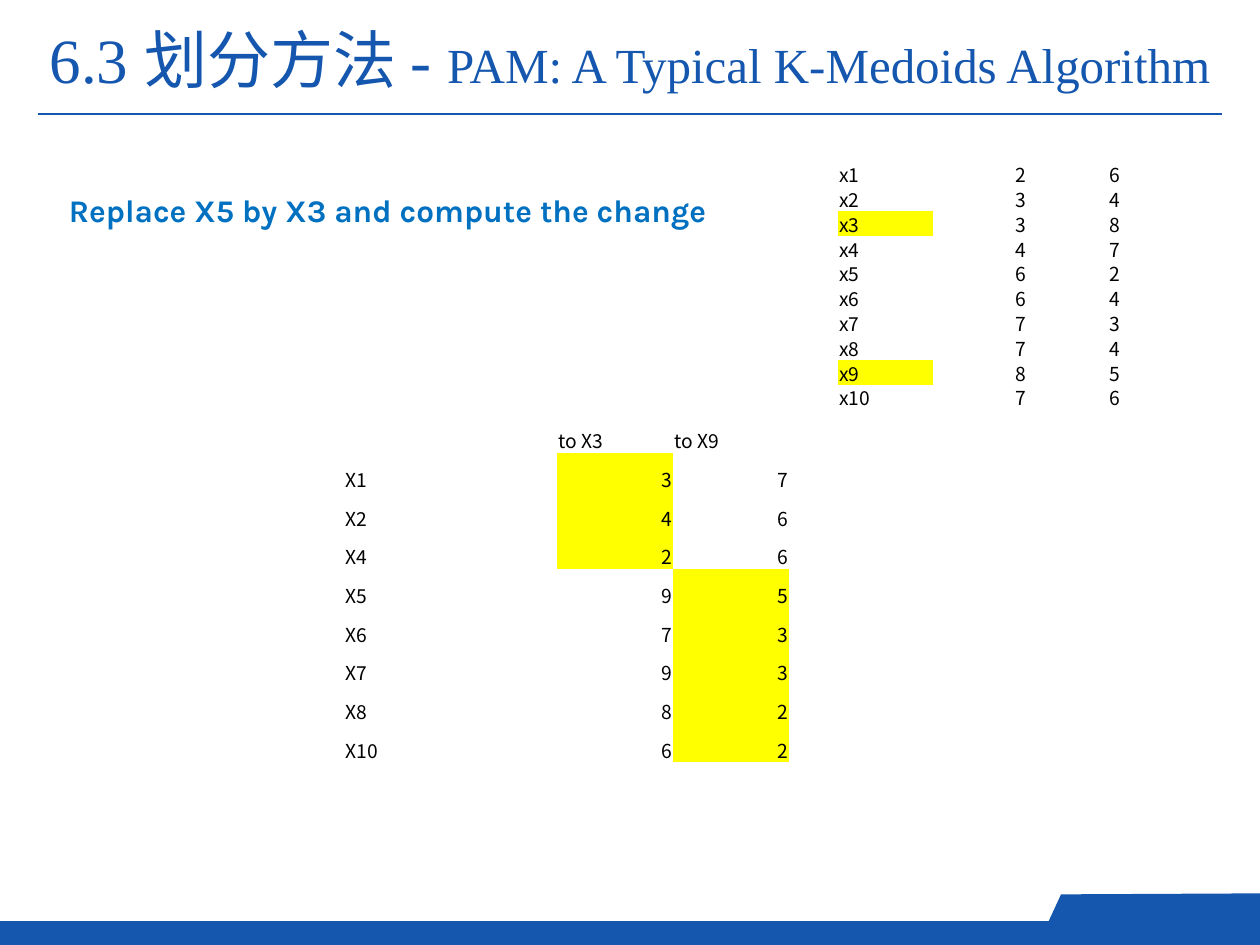
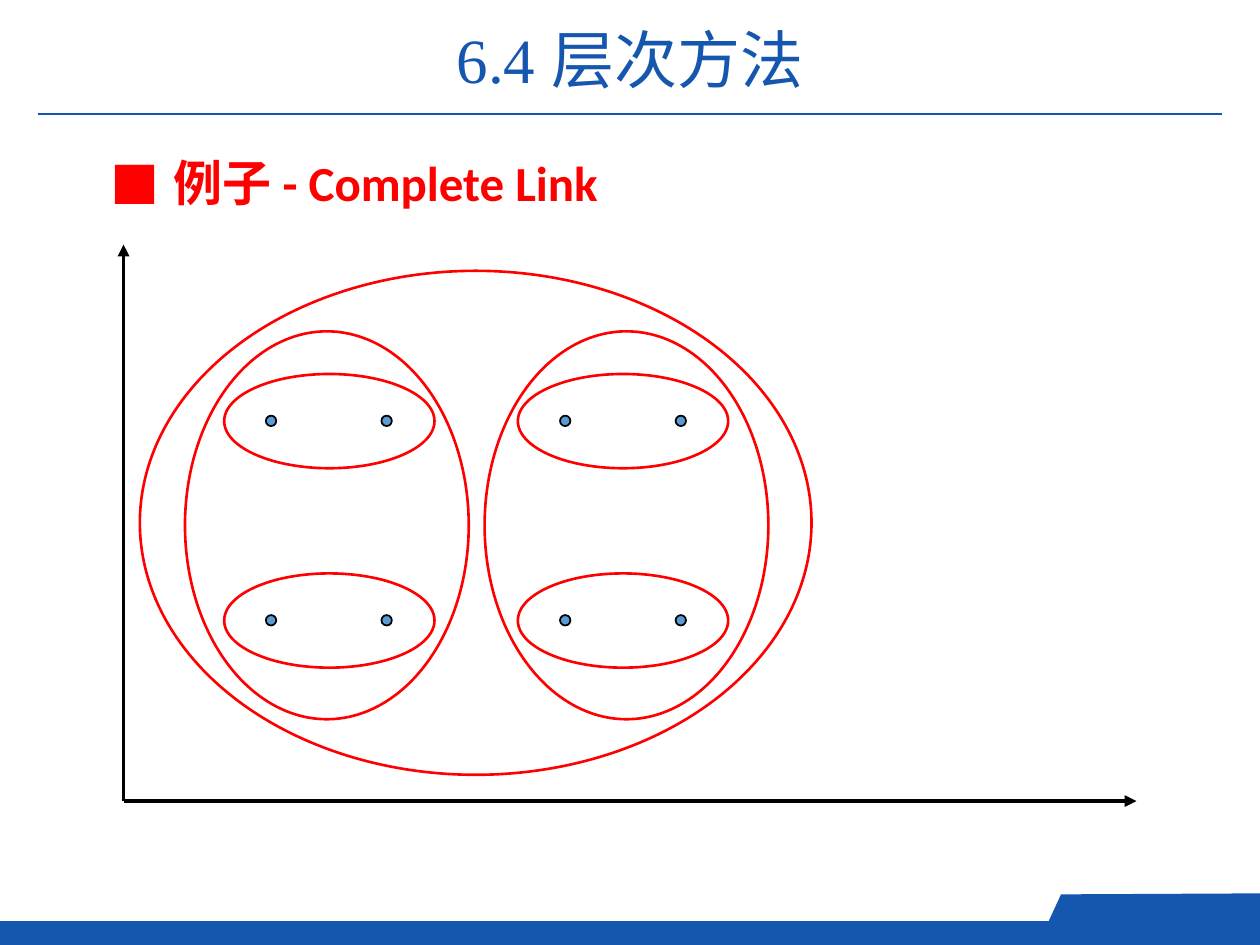
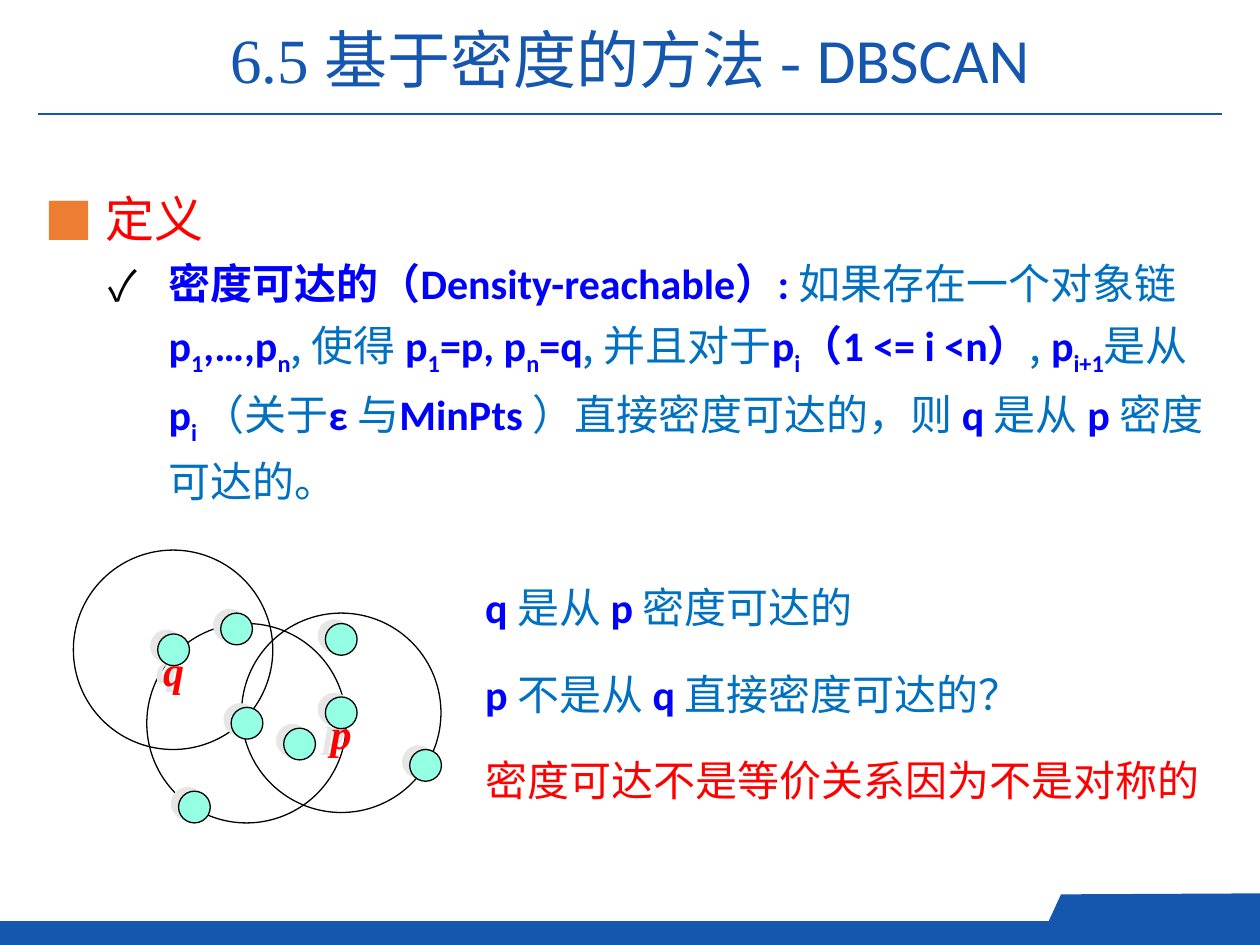
from dataclasses import dataclass, replace

from lxml.etree import SubElement
from pptx import Presentation
from pptx.dml.color import RGBColor as Rgb
from pptx.enum.shapes import MSO_CONNECTOR as Connector, MSO_SHAPE as Preset
from pptx.enum.text import MSO_ANCHOR as Anchor, PP_ALIGN as Align
from pptx.oxml.ns import qn
from pptx.util import Cm, Pt


@dataclass(frozen=True)
class Look:
    name: str
    size: int
    colour: str
    bold: bool = False
    italic: bool = False
    baseline: int = 0


class Theme:
    blue, red, black = "1557AE", "FF0000", "000000"
    orange, yellow = "ED7D31", "FFFF00"
    point, mint, shade = "5B9BD5", "95FFE3", "E7E6E6"
    cjk, serif, sans = "Noto Sans CJK SC", "Times New Roman", "Calibri"
    no_grid = "{2D5ABB26-0587-4C30-8999-92F81FD0307C}"
    title = Look(serif, 36, blue)
    title_small = Look(serif, 28, blue)
    title_sans = Look(sans, 36, blue)
    task = Look("Karla", 18, "0070C0", bold=True)
    cell = Look(cjk, 11, black)
    example = Look(sans, 28, red, bold=True)
    heading = Look(cjk, 28, red)
    body = Look(cjk, 24, "0070C0")
    term = Look(sans, 24, "0000FF", bold=True)
    term_cjk = Look(cjk, 24, "0000FF", bold=True)
    sub = replace(term, baseline=-25000)
    warning = Look(cjk, 24, red)
    letter = Look(serif, 24, red, bold=True, italic=True)


def write(para, spans, bullet=None):
    """Fill a paragraph with (text, look) spans, with an optional bullet."""
    if bullet:
        symbol, colour, margin, indent = bullet
        props = para._p.get_or_add_pPr()
        props.set("marL", str(Cm(margin)))
        props.set("indent", str(Cm(indent)))
        SubElement(SubElement(props, qn("a:buClr")), qn("a:srgbClr")).set("val", colour)
        SubElement(props, qn("a:buFont")).set("typeface", Theme.cjk)
        SubElement(props, qn("a:buChar")).set("char", symbol)
    for text, look in spans:
        span = para.add_run()
        span.text = text
        font = para.font if len(spans) == 1 else span.font
        font.name, font.size = look.name, Pt(look.size)
        font.bold, font.italic = look.bold, look.italic
        font.color.rgb = Rgb.from_string(look.colour)
        SubElement(font._rPr, qn("a:ea")).set("typeface", Theme.cjk)
        if look.baseline:
            font._rPr.set("baseline", str(look.baseline))


def add_oval(page, left, top, width, height, line, line_width, fill=None):
    oval = page.shapes.add_shape(Preset.OVAL, Cm(left), Cm(top), Cm(width), Cm(height))
    oval.shadow.inherit = False
    oval.line.color.rgb = Rgb.from_string(line)
    oval.line.width = Pt(line_width)
    if fill:
        oval.fill.solid()
        oval.fill.fore_color.rgb = Rgb.from_string(fill)
    else:
        oval.fill.background()
    return oval


deck = Presentation()
deck.slide_width, deck.slide_height = Cm(25.4), Cm(19.05)

# Pages with title and footer band
titles = [
    [("6.3 划分方法 - ", Theme.title),
     ("PAM: A Typical K-Medoids Algorithm", Theme.title_small)],
    [("6.4 层次方法", Theme.title)],
    [("6.5 基于密度的方法 - ", Theme.title), ("DBSCAN", Theme.title_sans)],
]
for spans in titles:
    page = deck.slides.add_slide(deck.slide_layouts[6])
    band = page.shapes.add_shape(Preset.RECTANGLE, 0, Cm(18.57), Cm(25.4), Cm(0.48))
    outline = page.shapes.build_freeform(Cm(25.4), Cm(18.92))
    outline.add_line_segments(
        [(Cm(25.4), Cm(18.01)), (Cm(21.39), Cm(18.03)), (Cm(20.98), Cm(18.92))])
    for shape in (band, outline.convert_to_shape()):
        shape.shadow.inherit = False
        shape.fill.solid()
        shape.fill.fore_color.rgb = Rgb.from_string(Theme.blue)
        shape.line.fill.background()
    box = page.shapes.add_textbox(Cm(-1.8), Cm(0.28), Cm(29), Cm(1.8))
    frame = box.text_frame
    frame.word_wrap = True
    frame.vertical_anchor = Anchor.MIDDLE
    frame.paragraphs[0].alignment = Align.CENTER
    write(frame.paragraphs[0], spans)
medoids_page, link_page, density_page = deck.slides

# Title rules, and the two axes of the link diagram
lines = [(page, (0.76, 2.3), (24.64, 2.3), Theme.blue, 1.5, False) for page in deck.slides]
origin = (2.49, 16.15)
for end in ((2.49, 4.93), (22.91, 16.15)):
    lines.append((link_page, origin, end, Theme.black, 2.25, True))
for page, start, end, colour, width, arrow in lines:
    line = page.shapes.add_connector(
        Connector.STRAIGHT, *[Cm(value) for value in start + end])
    line.line.color.rgb = Rgb.from_string(colour)
    line.line.width = Pt(width)
    if arrow:
        SubElement(line.line._get_or_add_ln(), qn("a:tailEnd")).set("type", "triangle")
    SubElement(line._element.spPr, qn("a:effectLst"))

# Body text: each paragraph is (spans, bullet, level, line spacing)
definition = [
    ("密度可达的", Theme.term_cjk), ("（Density-reachable）: ", Theme.term),
    ("如果存在一个对象链 ", Theme.body),
    ("p", Theme.term), ("1", Theme.sub), (",…,p", Theme.term), ("n", Theme.sub),
    (", 使得 ", Theme.body),
    ("p", Theme.term), ("1", Theme.sub), ("=p, p", Theme.term), ("n", Theme.sub),
    ("=q", Theme.term), (", 并且对于", Theme.body),
    ("p", Theme.term), ("i", Theme.sub), ("（1 <= i <n）", Theme.term),
    (", ", Theme.body), ("p", Theme.term), ("i+1", Theme.sub),
    ("是从", Theme.body), ("p", Theme.term), ("i ", Theme.sub),
    ("（关于", Theme.body), ("ε ", Theme.term), ("与", Theme.body),
    ("MinPts ", Theme.term), ("）直接密度可达的，则 ", Theme.body),
    ("q ", Theme.term), ("是从 ", Theme.body), ("p ", Theme.term),
    ("密度可达的。", Theme.body),
]
remarks = [
    [("q ", Theme.term), ("是从 ", Theme.body), ("p ", Theme.term),
     ("密度可达的", Theme.body)],
    [("p ", Theme.term), ("不是从 ", Theme.body), ("q ", Theme.term),
     ("直接密度可达的？", Theme.body)],
    [("密度可达不是等价关系因为不是对称的", Theme.warning)],
]
text_boxes = [
    (medoids_page, (1.14, 3.73, 14.25, 1.02),
     [([("Replace X5 by X3 and compute the change", Theme.task)], None, 0, 1)]),
    (link_page, (1.98, 2.95, 10.69, 1.45),
     [([("例子 - Complete Link", Theme.example)], ("■", Theme.red, 1.27, -1.27), 0, 1)]),
    (density_page, (0.64, 3.33, 24.13, 13.28),
     [([("定义", Theme.heading)], ("■", Theme.orange, 1.24, -1.24), 0, 1.3),
      (definition, ("✓", Theme.black, 2.51, -1.22), 1, 1.2)]),
    (density_page, (9.53, 11.1, 15.24, 5.82),
     [(spans, None, 0, 1.5) for spans in remarks]),
]
for page, place, paragraphs in text_boxes:
    frame = page.shapes.add_textbox(*[Cm(value) for value in place]).text_frame
    frame.word_wrap = True
    for index, (spans, bullet, level, spacing) in enumerate(paragraphs):
        para = frame.add_paragraph() if index else frame.paragraphs[0]
        write(para, spans, bullet)
        para.level = level
        para.line_spacing = spacing
        if index and level == 0:
            para.space_before = Pt(6)

# Tables of points and distances: place, columns, row heights, rows, marked cells
points = [("x1", 2, 6), ("x2", 3, 4), ("x3", 3, 8), ("x4", 4, 7), ("x5", 6, 2),
          ("x6", 6, 4), ("x7", 7, 3), ("x8", 7, 4), ("x9", 8, 5), ("x10", 7, 6)]
distances = [("", "to X3", "to X9"), ("X1", 3, 7), ("X2", 4, 6), ("X4", 2, 6),
             ("X5", 9, 5), ("X6", 7, 3), ("X7", 9, 3), ("X8", 8, 2), ("X10", 6, 2)]
nearest = {(row, 1 if cells[1] < cells[2] else 2)
           for row, cells in enumerate(distances) if row}
tables = [
    (16.89, 3.33, (1.91, 1.91, 1.91), [0.43] + [0.5] * 9, points, {(2, 0), (8, 0)}),
    (6.93, 8.33, (4.3, 2.34, 2.34), [0.78] * 9, distances, nearest),
]
for left, top, widths, heights, rows, marked in tables:
    table = medoids_page.shapes.add_table(
        len(rows), len(widths), Cm(left), Cm(top), Cm(sum(widths)), Cm(sum(heights))).table
    table.first_row = table.horz_banding = False
    table._tbl.tblPr.find(qn("a:tableStyleId")).text = Theme.no_grid
    for column, width in zip(table.columns, widths):
        column.width = Cm(width)
    for row, cells in enumerate(rows):
        table.rows[row].height = Cm(heights[row])
        for column, value in enumerate(cells):
            cell = table.cell(row, column)
            cell.margin_left = cell.margin_right = cell.margin_top = Cm(0.03)
            cell.margin_bottom = 0
            cell.vertical_anchor = Anchor.BOTTOM
            if (row, column) in marked:
                cell.fill.solid()
                cell.fill.fore_color.rgb = Rgb.from_string(Theme.yellow)
            else:
                cell.fill.background()
            para = cell.text_frame.paragraphs[0]
            para.line_spacing = 0.7
            para.alignment = Align.RIGHT if isinstance(value, int) else Align.LEFT
            write(para, [(str(value), Theme.cell)])

# Nested clusters: points, pairs, halves, whole
for column in range(2):
    for row in range(2):
        for step in range(2):
            add_oval(link_page, 5.36 + 5.93 * column + 2.33 * step, 8.38 + 4.02 * row,
                     0.21, 0.21, Theme.black, 1, Theme.point)
        add_oval(link_page, 4.52 + 5.92 * column, 7.54 + 4.02 * row,
                 4.24, 1.9, Theme.red, 1.5)
    add_oval(link_page, 3.73 + 6.04 * column, 6.68, 5.72, 7.82, Theme.red, 1.5)
add_oval(link_page, 2.82, 5.46, 13.54, 10.16, Theme.red, 1.5)

# Neighbourhood rings and the points in them
for left, top in ((2.96, 12.57), (4.87, 12.36), (1.48, 11.09)):
    add_oval(density_page, left, top, 4.02, 4.02, Theme.black, 0.75)
objects = [(6.56, 12.57, ""), (5.72, 14.68, ""), (8.26, 15.11, ""), (6.56, 14.05, "p"),
           (4.45, 12.36, ""), (3.6, 15.95, ""), (3.18, 12.78, "q"), (4.66, 14.26, "")]
for left, top, letter in objects:
    dot = add_oval(density_page, left, top, 0.64, 0.64, Theme.black, 0.75, Theme.mint)
    shadow = SubElement(dot._element.spPr.find(qn("a:effectLst")), qn("a:outerShdw"))
    shadow.set("dist", str(Pt(4.5)))
    shadow.set("dir", str(207 * 60000))
    SubElement(shadow, qn("a:srgbClr")).set("val", Theme.shade)
    if letter:
        frame = dot.text_frame
        frame.word_wrap = False
        frame.vertical_anchor = Anchor.TOP
        frame.paragraphs[0].alignment = Align.CENTER
        write(frame.paragraphs[0], [(letter, Theme.letter)])

deck.save("out.pptx")
